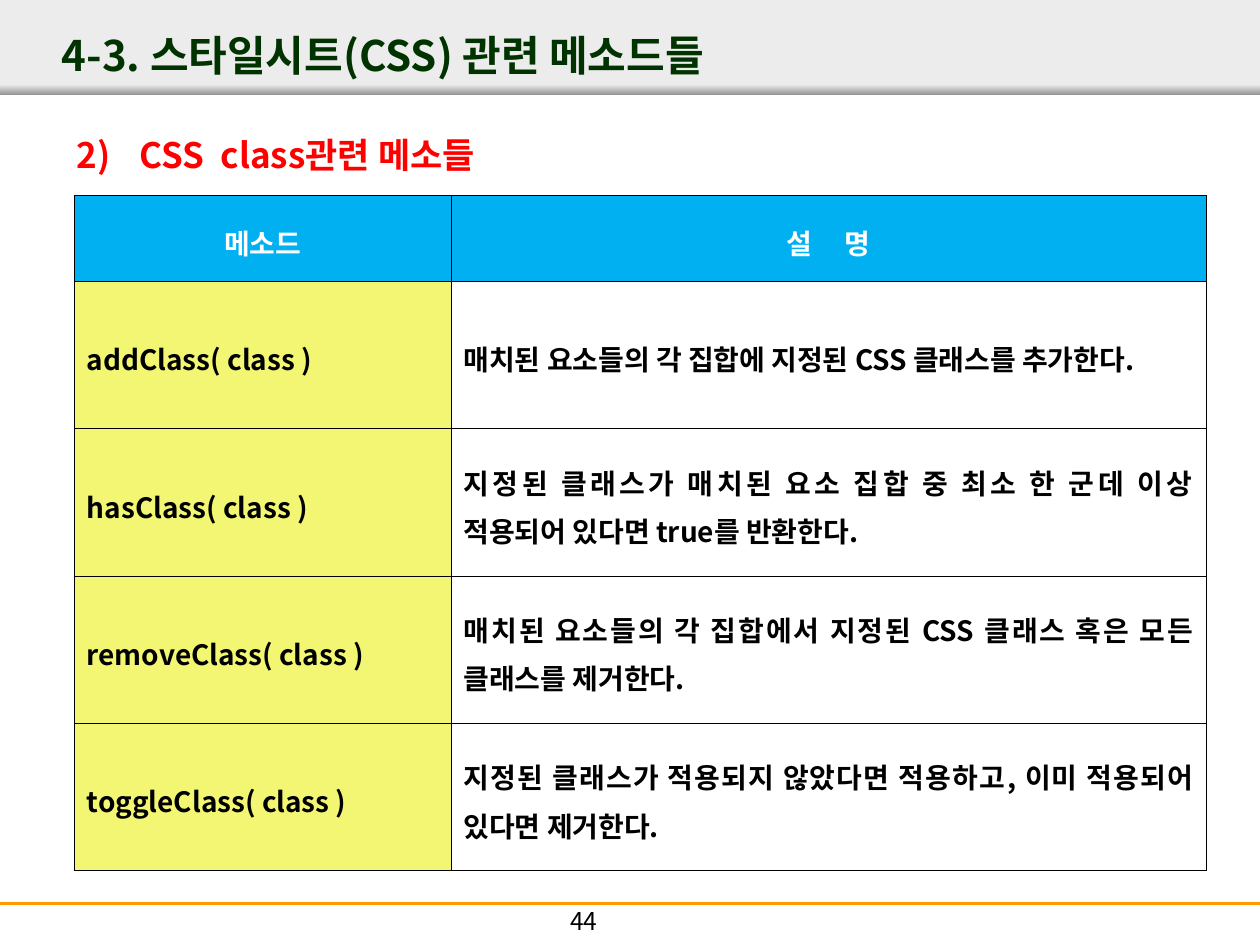
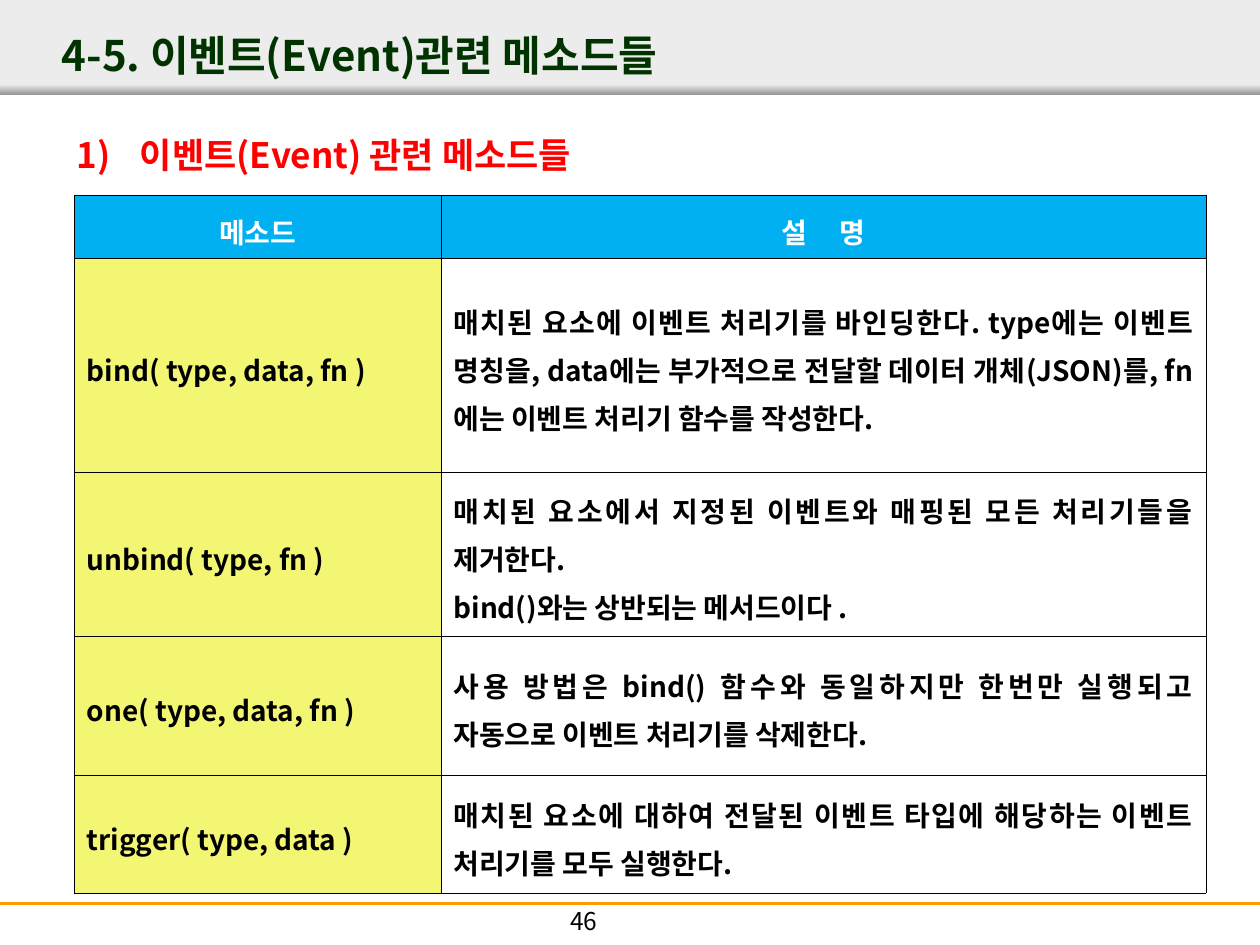
from lxml import etree
from pptx import Presentation
from pptx.dml.color import RGBColor
from pptx.enum.shapes import MSO_CONNECTOR as Link, MSO_SHAPE as Shape
from pptx.enum.text import MSO_ANCHOR as Anchor, MSO_AUTO_SIZE as Fit, PP_ALIGN as Align
from pptx.oxml import parse_xml
from pptx.oxml.ns import nsdecls, qn
from pptx.util import Inches, Pt

# Colours and fonts
GREY = RGBColor(0xEC, 0xEC, 0xEC)
DARK = RGBColor(0x97, 0x97, 0x97)
AMBER = RGBColor(0xFF, 0x99, 0x00)
GREEN = RGBColor(0x00, 0x33, 0x00)
RED = RGBColor(0xFF, 0x00, 0x00)
BLUE = RGBColor(0x00, 0xB0, 0xF0)
LEMON = RGBColor(0xF3, 0xF6, 0x72)
WHITE = RGBColor(0xFF, 0xFF, 0xFF)
BLACK = RGBColor(0x00, 0x00, 0x00)
FACE = "Noto Sans CJK KR"

# Text formats
HEAD = {"size": Pt(24), "bold": True, "color": GREEN}
TOPIC = {"size": Pt(20), "bold": True, "color": RED}
LABEL = {"size": Pt(16), "bold": True, "color": WHITE}
CELL = {"size": Pt(16), "bold": True, "color": BLACK}
PAGE = {"size": Pt(14), "bold": False, "color": BLACK}

# Grid of 100 columns by 75 rows
COLS, ROWS = 100, 75
UNIT = Inches(0.1)
GAP = 1440  # extra width of the space in a spread label, 1/100 pt


def grid(*spans):
    return [int(span * UNIT) for span in spans]


class Deck:
    def __init__(self):
        self.prs = Presentation()
        self.prs.slide_width, self.prs.slide_height = grid(COLS, ROWS)
        self.slide = None

    def start(self, page):
        """Add a slide with its bands and page number."""
        self.slide = self.prs.slides.add_slide(self.prs.slide_layouts[1])
        tree = self.slide.shapes.element
        bands = [self.band(0, 7.5), self.band(6.7, 0.8, DARK), self.rule(71.7)]
        for spot, item in enumerate(bands, 2):
            tree.insert(spot, item.element)
        box = self.slide.shapes.add_textbox(*grid(34.7, 71.4, 23.3, 3.6))
        self.fill_text(box.text_frame.paragraphs[0], page, PAGE, Align.CENTER)

    def band(self, top, high, end=None):
        bar = self.slide.shapes.add_shape(Shape.RECTANGLE, *grid(0, top, COLS, high))
        bar.shadow.inherit = False
        bar.line.fill.background()
        if end is None:
            bar.fill.solid()
            bar.fill.fore_color.rgb = GREY
        else:
            bar.fill.gradient()
            bar.fill.gradient_angle = 270
            for stop, tint, place in zip(bar.fill.gradient_stops, (GREY, end), (0, 1)):
                stop.color.rgb = tint
                stop.position = place
        return bar

    def rule(self, top):
        line = self.slide.shapes.add_connector(Link.STRAIGHT, *grid(0, top, COLS, top))
        line.line.color.rgb = AMBER
        line.line.width = Pt(1.5)
        etree.SubElement(line.element.spPr, qn("a:effectLst"))
        return line

    def fill_text(self, para, text, form, align, lead=1.0, gap=0):
        """Fill a paragraph; gap widens the space of a spread label."""
        para.alignment = align
        para.line_spacing = lead
        para.space_before = Pt(0)
        for part in text.partition(" ") if gap else [text]:
            if not part:
                continue
            run = para.add_run()
            run.text = part
            run.font.name = FACE
            for key, value in form.items():
                if key == "color":
                    run.font.color.rgb = value
                else:
                    setattr(run.font, key, value)
            props = run._r.get_or_add_rPr()
            etree.SubElement(props, qn("a:ea"), typeface=FACE)
            if part == " ":
                props.set("spc", str(gap))

    def place(self, shape, spans, anchor):
        shape.left, shape.top, shape.width, shape.height = grid(*spans)
        frame = shape.text_frame
        form = {"auto_size": Fit.NONE, "word_wrap": True, "vertical_anchor": anchor}
        for key, value in form.items():
            setattr(frame, key, value)
        return frame.paragraphs[0]

    def title(self, text):
        para = self.place(self.slide.shapes.title, (3.9, 1.6, 83.9, 5.5), Anchor.MIDDLE)
        self.fill_text(para, text, HEAD, Align.LEFT)

    def topic(self, text, number):
        """Put the numbered heading in the body placeholder."""
        para = self.place(self.slide.placeholders[1], (5.1, 8.4, 89.9, 7.1), Anchor.TOP)
        props = para._p.get_or_add_pPr()
        props.set("marL", str(Inches(0.5)))
        props.set("indent", str(-Inches(0.5)))
        tint = etree.SubElement(props, qn("a:buClr"))
        etree.SubElement(tint, qn("a:srgbClr"), val=str(RED))
        etree.SubElement(props, qn("a:buFont"), typeface=FACE)
        etree.SubElement(props, qn("a:buAutoNum"), type="arabicParenR", startAt=str(number))
        self.fill_text(para, text, TOPIC, Align.JUSTIFY, 1.5)

    def cell(self, cell, text, fill, form, align, gap=0):
        cell.fill.solid()
        cell.fill.fore_color.rgb = fill
        cell.vertical_anchor = Anchor.MIDDLE
        frame = cell.text_frame
        for spot, line in enumerate(text.split("\n")):
            para = frame.add_paragraph() if spot else frame.paragraphs[0]
            self.fill_text(para, line, form, align, 1.2, gap)
        props = cell._tc.get_or_add_tcPr()
        for spot, side in enumerate("LRTB"):
            props.insert(spot, parse_xml(
                f'<a:ln{side} {nsdecls("a")} w="1400"><a:solidFill>'
                f'<a:srgbClr val="{BLACK}"/></a:solidFill></a:ln{side}>'))

    def table(self, wide, highs, items):
        """Draw a method table with the name column of the given width."""
        full = 89.8
        spans = grid(5.9, 15.5, full, sum(highs))
        table = self.slide.shapes.add_table(len(highs), 2, *spans).table
        for col, span in zip(table.columns, grid(wide, full - wide)):
            col.width = span
        for row, span in zip(table.rows, grid(*highs)):
            row.height = span
        for col, text in enumerate(("메소드", "설 명")):
            self.cell(table.cell(0, col), text, BLUE, LABEL, Align.CENTER, GAP)
        for row, pair in enumerate(items, 1):
            for col, (text, fill) in enumerate(zip(pair, (LEMON, WHITE))):
                self.cell(table.cell(row, col), text, fill, CELL, Align.JUSTIFY)


def main():
    deck = Deck()

    # CSS class methods
    deck.start("44")
    deck.title("4-3. 스타일시트(CSS) 관련 메소드들")
    deck.topic("CSS  class관련 메소들", 2)
    deck.table(29.9, [6.8] + [11.7] * 4, [
        ("addClass( class )", "매치된 요소들의 각 집합에 지정된 CSS 클래스를 추가한다."),
        ("hasClass( class )",
         "지정된 클래스가 매치된 요소 집합 중 최소 한 군데 이상 적용되어 있다면 true를 반환한다."),
        ("removeClass( class )",
         "매치된 요소들의 각 집합에서 지정된 CSS 클래스 혹은 모든 클래스를 제거한다."),
        ("toggleClass( class )",
         "지정된 클래스가 적용되지 않았다면 적용하고, 이미 적용되어 있다면 제거한다."),
    ])

    # Event methods
    deck.start("46")
    deck.title("4-5. 이벤트(Event)관련 메소드들")
    deck.topic("이벤트(Event) 관련 메소드들", 1)
    deck.table(29.1, [5, 17, 13, 11, 9.4], [
        ("bind( type, data, fn )",
         "매치된 요소에 이벤트 처리기를 바인딩한다. type에는 이벤트 명칭을, data에는 "
         "부가적으로 전달할 데이터 개체(JSON)를, fn 에는 이벤트 처리기 함수를 작성한다."),
        ("unbind( type, fn )",
         "매치된 요소에서 지정된 이벤트와 매핑된 모든 처리기들을 제거한다.\n"
         "bind()와는 상반되는 메서드이다 ."),
        ("one( type, data, fn )",
         "사용 방법은 bind() 함수와 동일하지만 한번만 실행되고 자동으로 이벤트 처리기를 삭제한다."),
        ("trigger( type, data )",
         "매치된 요소에 대하여 전달된 이벤트 타입에 해당하는 이벤트 처리기를 모두 실행한다."),
    ])

    deck.prs.save("out.pptx")


if __name__ == "__main__":
    main()
